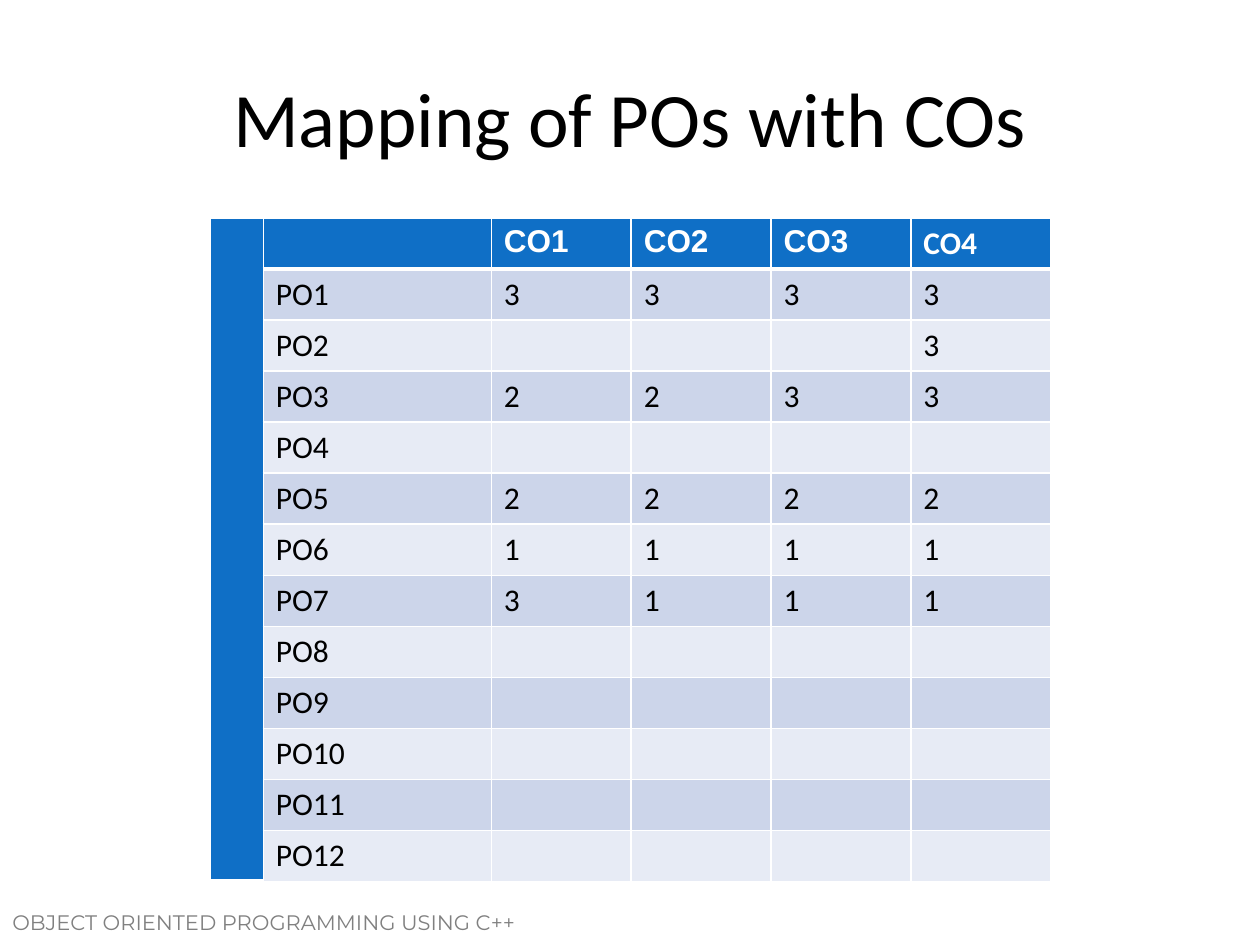
import pptx
import pptx.dml.color
import pptx.enum.text
import pptx.oxml
import pptx.oxml.ns
import pptx.util

Inches = pptx.util.Inches
Pt = pptx.util.Pt
RGBColor = pptx.dml.color.RGBColor
Align = pptx.enum.text.PP_ALIGN
Anchor = pptx.enum.text.MSO_ANCHOR

BLACK = RGBColor(0x00, 0x00, 0x00)
WHITE = RGBColor(0xFF, 0xFF, 0xFF)
GRAY = RGBColor(0x80, 0x80, 0x80)
BLUE = RGBColor(0x0F, 0x6F, 0xC6)
BANDS = [RGBColor(0xCC, 0xD5, 0xEA), RGBColor(0xE7, 0xEB, 0xF5)]

OUTCOMES = ["CO1", "CO2", "CO3", "CO4"]
LEVELS = {
    "PO1": ["3", "3", "3", "3"],
    "PO2": ["", "", "", "3"],
    "PO3": ["2", "2", "3", "3"],
    "PO5": ["2", "2", "2", "2"],
    "PO6": ["1", "1", "1", "1"],
    "PO7": ["3", "1", "1", "1"],
}
PROGRAM_OUTCOMES = [f"PO{number}" for number in range(1, 13)]
COLUMN_WIDTHS = [0.42, 1.81] + [1.11] * len(OUTCOMES)


class SlideBuilder:
    font = "Calibri"

    def __init__(self, slide):
        self.slide = slide

    def add_run(self, paragraph, text, size, color, font=None, bold=False):
        run = paragraph.add_run()
        run.text = text
        run.font.name = font or self.font
        run.font.size = Pt(size)
        run.font.bold = bold
        run.font.color.rgb = color

    def add_text(self, box, text, size, color, font=None,
                 align=Align.LEFT, anchor=Anchor.TOP):
        shape = self.slide.shapes.add_textbox(*map(Inches, box))
        frame = shape.text_frame
        frame.word_wrap = True
        frame.vertical_anchor = anchor
        paragraph = frame.paragraphs[0]
        paragraph.alignment = align
        self.add_run(paragraph, text, size, color, font)

    def set_borders(self, cell, top, bottom):
        properties = cell._tc.get_or_add_tcPr()
        for side, width in {"L": 1, "R": 1, "T": top, "B": bottom}.items():
            properties.append(pptx.oxml.parse_xml(
                f'<a:ln{side} {pptx.oxml.ns.nsdecls("a")} w="{Pt(width)}">'
                f'<a:solidFill><a:srgbClr val="{WHITE}"/></a:solidFill>'
                f'</a:ln{side}>'))

    def style_cell(self, cell, row, column):
        self.set_borders(cell, 3 if row == 1 else 1, 3 if row == 0 else 1)
        cell.fill.solid()
        is_blue = row == 0 or column == 0
        cell.fill.fore_color.rgb = BLUE if is_blue else BANDS[(row - 1) % 2]

    def add_mapping_table(self, box, rows):
        left, top, width, height = map(Inches, box)
        table = self.slide.shapes.add_table(
            len(rows), len(COLUMN_WIDTHS), left, top, width, height).table
        for column, column_width in zip(table.columns, COLUMN_WIDTHS):
            column.width = Inches(column_width)
        for row, values in enumerate(rows):
            for column, value in enumerate(values):
                cell = table.cell(row, column)
                self.style_cell(cell, row, column)
                if value:
                    is_header = row == 0
                    font = "Arial" if value in OUTCOMES[:3] else self.font
                    self.add_run(cell.text_frame.paragraphs[0], value, 18,
                                 WHITE if is_header else BLACK, font, is_header)
        table.cell(0, 0).merge(table.cell(len(rows) - 1, 0))


def main():
    presentation = pptx.Presentation()
    presentation.slide_width = Inches(10)
    presentation.slide_height = Inches(7.5)
    slide = presentation.slides.add_slide(presentation.slide_layouts[6])
    builder = SlideBuilder(slide)

    builder.add_text((0, 7.17, 5, 0.42), "OBJECT ORIENTED PROGRAMMING USING C++",
                     12, GRAY, font="Montserrat")
    builder.add_text((0.5, 0.3, 9, 1.25), "Mapping of POs with COs", 44, BLACK,
                     align=Align.CENTER, anchor=Anchor.MIDDLE)
    rows = [["", "", *OUTCOMES]]
    for name in PROGRAM_OUTCOMES:
        rows.append(["", name, *LEVELS.get(name, [""] * len(OUTCOMES))])
    builder.add_mapping_table((1.67, 1.73, 6.67, 5.27), rows)

    presentation.save("out.pptx")


if __name__ == "__main__":
    main()
